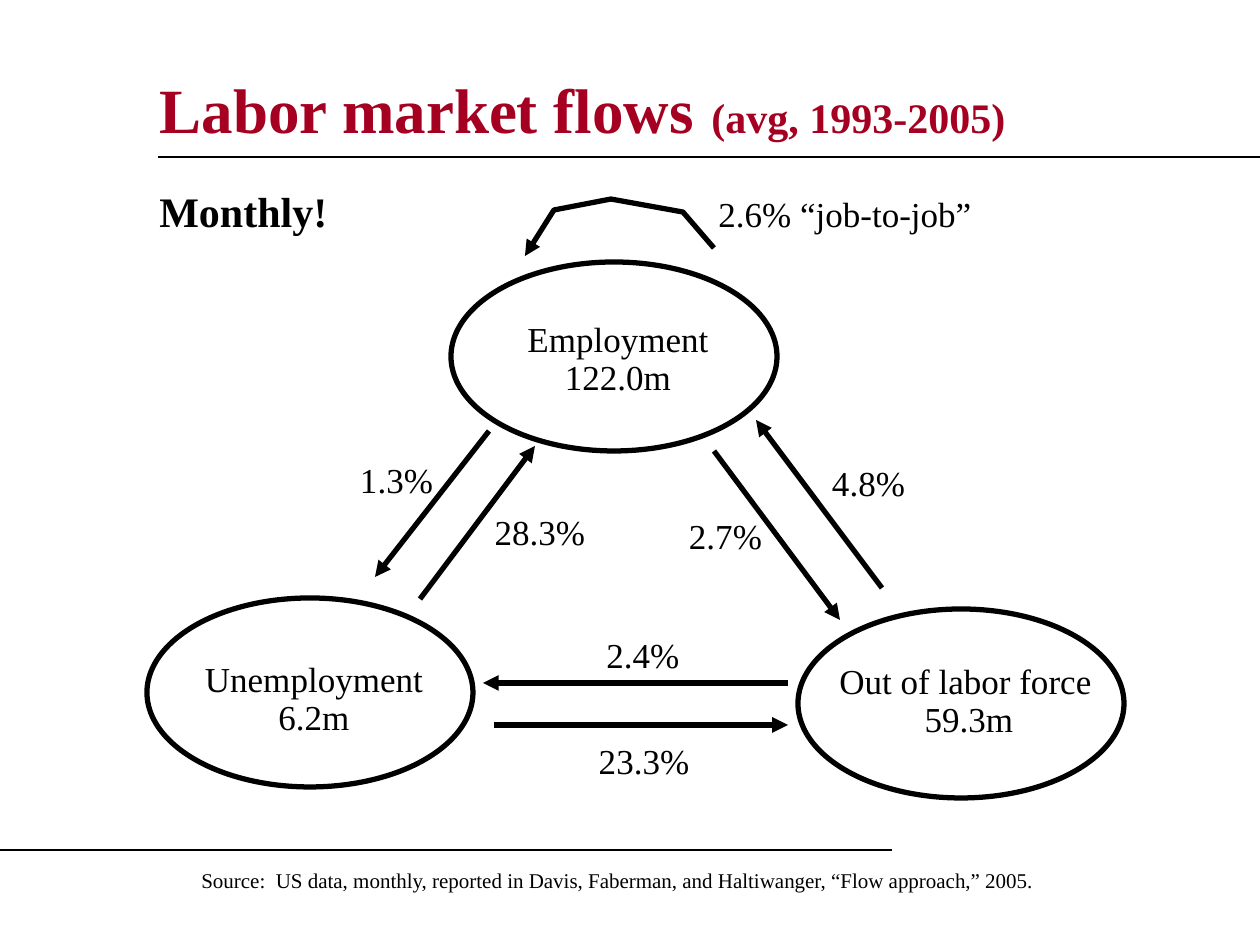
from lxml import etree
from pptx import Presentation
from pptx import util as u
from pptx.dml.color import RGBColor
from pptx.enum import shapes, text
from pptx.oxml.ns import qn

SCALE = 914400 / 126
FONT = "Times New Roman"
INK = {"title": "A50021", "black": "000000"}
LEFT, MID = text.PP_ALIGN.LEFT, text.PP_ALIGN.CENTER


def px(*nums):
    return [u.Emu(round(n * SCALE)) for n in nums]


def add_run(para, words, size, color="black", bold=False):
    run = para.add_run()
    run.text = words
    font = run.font
    font.name, font.size, font.bold = FONT, u.Pt(size), bold
    font.color.rgb = RGBColor.from_string(INK[color])


def add_title(slide, box, runs):
    title = slide.shapes.title
    title.left, title.top, title.width, title.height = px(*box)
    frame = title.text_frame
    frame.word_wrap = True
    frame.auto_size = text.MSO_AUTO_SIZE.NONE
    frame.vertical_anchor = text.MSO_ANCHOR.MIDDLE
    para = frame.paragraphs[0]
    para.alignment = LEFT
    for words, size in runs:
        add_run(para, words, size, "title", True)


def add_text(slide, box, lines, size=20, bold=False, aligns=(MID, MID), gap=1.0):
    frame = slide.shapes.add_textbox(*px(*box)).text_frame
    frame.word_wrap = True
    frame.auto_size = text.MSO_AUTO_SIZE.SHAPE_TO_FIT_TEXT
    for i, (words, align) in enumerate(zip(lines, aligns)):
        para = frame.add_paragraph() if i else frame.paragraphs[0]
        para.alignment = align
        para.line_spacing = gap
        add_run(para, words, size, bold=bold)


def set_line(shape, width, arrow=False):
    shape.line.color.rgb = RGBColor.from_string(INK["black"])
    shape.line.width = u.Pt(width)
    if arrow:
        etree.SubElement(shape.line._get_or_add_ln(), qn("a:tailEnd"), type="triangle")


def add_line(slide, ends, width=3, arrow=True):
    line = slide.shapes.add_connector(shapes.MSO_CONNECTOR.STRAIGHT, *px(*ends))
    set_line(line, width, arrow)
    etree.SubElement(line._element.spPr, qn("a:effectLst"))


def add_state(slide, left, top):
    oval = slide.shapes.add_shape(shapes.MSO_SHAPE.OVAL, *px(left, top, 326, 189))
    oval.shadow.inherit = False
    oval.fill.background()
    set_line(oval, 3)


def add_loop(slide, points):
    first, *rest = [tuple(px(*point)) for point in points]
    path = slide.shapes.build_freeform(*first)
    path.add_line_segments(rest, close=False)
    loop = path.convert_to_shape()
    loop.shadow.inherit = False
    loop.fill.background()
    set_line(loop, 3, True)


def main():
    deck = Presentation()
    deck.slide_width, deck.slide_height = px(1260, 945)
    slide = deck.slides.add_slide(deck.slide_layouts[5])
    add_title(slide, (147, 32, 955, 147),
              [("Labor market flows", 36), (" ", 40), ("(avg, 1993-2005)", 24)])
    for rule in [(158, 157, 1260, 157), (0, 850, 892, 850)]:
        add_line(slide, rule, 0.75, False)

    states = [
        ((451, 262), (513, 316, 210, 88), ("Employment", "122.0m"), MID),
        ((798, 609), (827, 658, 284, 88), ("Out of labor force", "59.3m"), LEFT),
        ((147, 598), (188, 656, 252, 88), ("Unemployment", "6.2m"), MID),
    ]
    for spot, box, lines, align in states:
        add_state(slide, *spot)
        add_text(slide, box, lines, aligns=(align, MID), gap=0.9)

    flows = [
        ((420, 599, 535, 446), (472, 504, 136, 55), "28.3%"),
        ((489, 431, 375, 577), (344, 452, 105, 55), "1.3%"),
        ((714, 451, 840, 620), (673, 508, 105, 55), "2.7%"),
        ((494, 725, 788, 725), (578, 733, 132, 55), "23.3%"),
        ((788, 683, 483, 683), (593, 627, 100, 55), "2.4%"),
        ((882, 588, 756, 420), (816, 455, 105, 55), "4.8%"),
    ]
    for ends, box, rate in flows:
        add_line(slide, ends)
        add_text(slide, box, [rate])

    add_loop(slide, [(714, 248), (683, 212), (611, 199), (554, 210), (525, 256)])
    add_text(slide, (706, 186, 315, 55), ["2.6% “job-to-job”"], aligns=[LEFT])
    add_text(slide, (147, 179, 262, 63), ["Monthly!"], 24, True, [LEFT])
    add_text(slide, (189, 861, 872, 38),
             ["Source:  US data, monthly, reported in Davis, Faberman, "
              "and Haltiwanger, “Flow approach,” 2005."], 12, aligns=[LEFT])
    deck.save("out.pptx")


if __name__ == "__main__":
    main()
